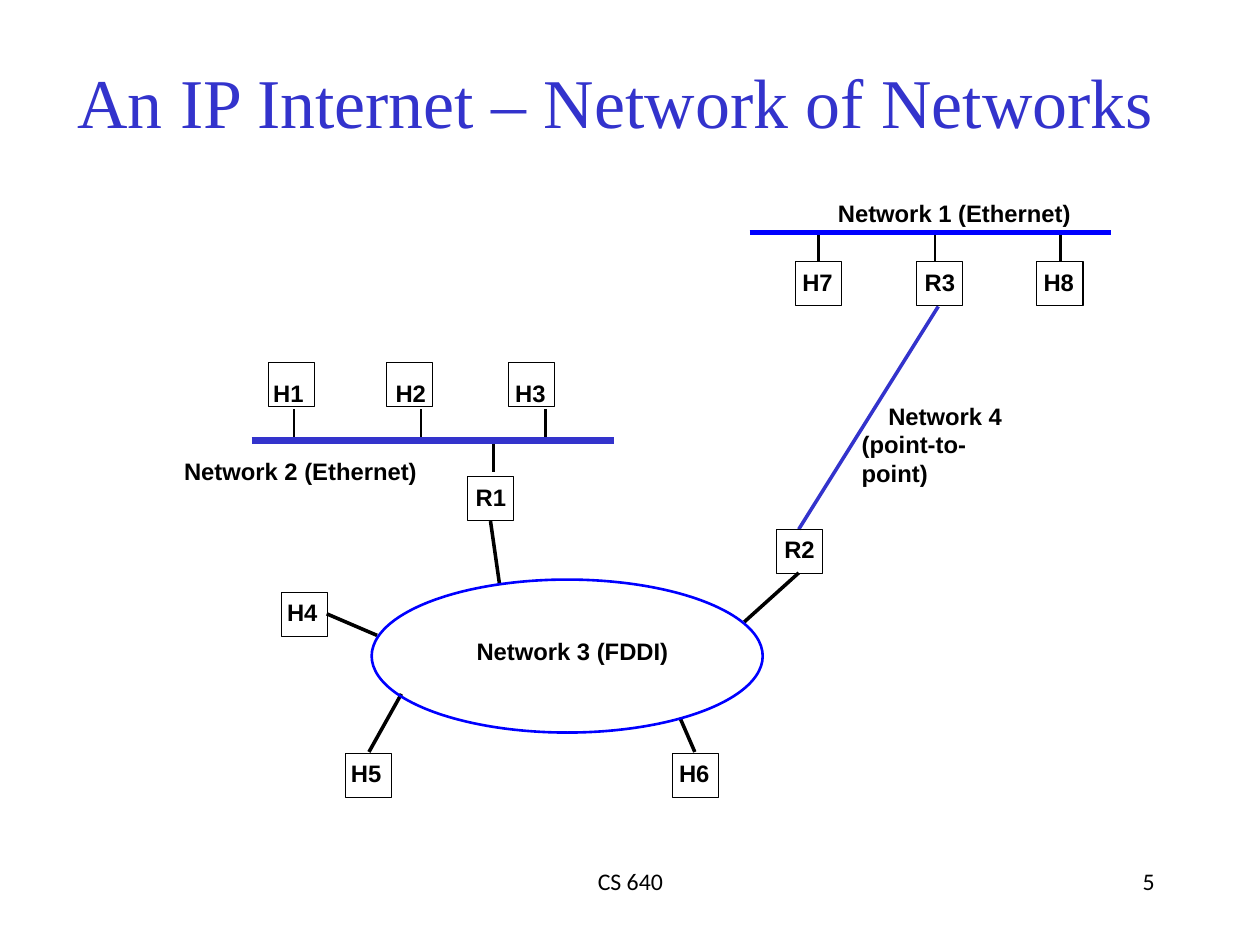
"""Build a slide that shows an IP internet as a network of networks."""
from dataclasses import dataclass

from lxml import etree
from pptx import Presentation
from pptx.dml.color import RGBColor
from pptx.enum.shapes import MSO_CONNECTOR, MSO_SHAPE
from pptx.enum.text import MSO_ANCHOR, PP_ALIGN
from pptx.oxml.ns import qn
from pptx.util import Cm, Pt

STRAIGHT = MSO_CONNECTOR.STRAIGHT
RECTANGLE, OVAL = MSO_SHAPE.RECTANGLE, MSO_SHAPE.OVAL
TOP, MIDDLE = MSO_ANCHOR.TOP, MSO_ANCHOR.MIDDLE
LEFT, CENTER, RIGHT = PP_ALIGN.LEFT, PP_ALIGN.CENTER, PP_ALIGN.RIGHT


@dataclass(frozen=True)
class Theme:
    """Colours, fonts and type sizes of the slide."""
    ink: RGBColor = RGBColor(0x00, 0x00, 0x00)
    indigo: RGBColor = RGBColor(0x33, 0x33, 0xCC)
    blue: RGBColor = RGBColor(0x00, 0x00, 0xFF)
    title_font: str = "Times New Roman"
    label_font: str = "Arial"
    footer_font: str = "Calibri"
    title_size: float = 44
    text_size: float = 15


THEME = Theme()
TITLE = "An IP Internet – Network of Networks"
TITLE_BOX = (1.2, 1.17, 24.97, 2.11)
NODE_WIDTH, NODE_HEIGHT = 1.03, 0.98
LABEL_HEIGHT = 0.64

HOST_ROW_TOP, HOST_LABEL_DROP = 8.05, 0.36
NETWORK_1_ROW_TOP = 5.82
RING_HOST_TOP = 16.74
LABEL_DROP = 0.13

# name, left, top, label indent, label drop
NODES = [
    ("H1", 5.97, HOST_ROW_TOP, 0.1, HOST_LABEL_DROP),
    ("H2", 8.59, HOST_ROW_TOP, 0.2, HOST_LABEL_DROP),
    ("H3", 11.3, HOST_ROW_TOP, 0.15, HOST_LABEL_DROP),
    ("R1", 10.39, 10.59, 0.18, LABEL_DROP),
    ("H4", 6.25, 13.16, 0.13, LABEL_DROP),
    ("H5", 7.67, RING_HOST_TOP, 0.13, LABEL_DROP),
    ("H6", 14.94, RING_HOST_TOP, 0.15, LABEL_DROP),
    ("R2", 17.25, 11.76, 0.18, LABEL_DROP),
    ("H7", 17.68, NETWORK_1_ROW_TOP, 0.15, LABEL_DROP),
    ("R3", 20.37, NETWORK_1_ROW_TOP, 0.18, LABEL_DROP),
    ("H8", 23.04, NETWORK_1_ROW_TOP, 0.15, LABEL_DROP),
]
NETWORK_LABELS = [
    ("Network 1 (Ethernet)", 18.62, 4.42, 5.18),
    ("Network 2 (Ethernet)", 4.09, 10.16, 5.18),
    ("Network 3 (FDDI)", 10.59, 14.15, 4.27),
    ("Network 4", 19.74, 8.92, 2.54),
    ("(point-to-point)", 19.15, 9.55, 3.78),
]
NETWORK_1_BUS = (16.66, 5.16, 24.69, 5.16)
NETWORK_2_BUS = (5.59, 9.78, 13.64, 9.78)
NETWORK_3_RING = (8.26, 12.88, 8.69, 3.4)
NETWORK_4_LINK = (20.85, 6.81, 17.75, 11.76)
NETWORK_1_TAPS = (18.19, 20.78, 23.57)
NETWORK_2_TAPS = (6.54, 9.35, 12.12)
ROUTER_1_TAP = (10.97, 9.8, 10.97, 10.49)
RING_LINKS = [
    (10.9, 11.58, 11.1, 12.98),
    (7.26, 13.64, 8.38, 14.12),
    (8.2, 16.71, 8.92, 15.42),
    (15.44, 16.71, 15.11, 15.95),
    (17.75, 12.73, 16.54, 13.82),
]
FOOTERS = [
    ("CS 640", (9.58, 19.13, 8.86, 1.4), CENTER),
    ("5", (20.07, 19.13, 5.84, 1.4), RIGHT),
]


def centimetres(values):
    """Turn plain numbers into lengths."""
    return [Cm(value) for value in values]


def write_text(shape, text, font=THEME.label_font, size=THEME.text_size, color=THEME.ink,
               bold=False, align=LEFT, anchor=TOP, margins=(0, 0, 0, 0), wrap=True):
    """Fill a shape with one formatted paragraph."""
    frame = shape.text_frame
    frame.word_wrap = wrap
    frame.vertical_anchor = anchor
    (frame.margin_left, frame.margin_top,
     frame.margin_right, frame.margin_bottom) = centimetres(margins)
    frame.text = text
    paragraph = frame.paragraphs[0]
    paragraph.alignment = align
    paragraph.font.name = font
    paragraph.font.size = Pt(size)
    paragraph.font.bold = bold
    paragraph.font.color.rgb = color


def add_line(slide, ends, color=THEME.ink, width=2.25):
    """Draw a straight line without a shadow."""
    connector = slide.shapes.add_connector(STRAIGHT, *centimetres(ends))
    connector.line.color.rgb = color
    connector.line.width = Pt(width)
    etree.SubElement(connector._element.spPr, qn("a:effectLst"))


def add_outline(slide, kind, box, color, width):
    """Draw an unfilled shape."""
    shape = slide.shapes.add_shape(kind, *centimetres(box))
    shape.shadow.inherit = False
    shape.fill.background()
    shape.line.color.rgb = color
    shape.line.width = Pt(width)
    return shape


def add_links(slide):
    """Draw the networks and the lines that join them to the nodes."""
    network_1_level, network_2_level = NETWORK_1_BUS[1], NETWORK_2_BUS[1]
    host_bottom = HOST_ROW_TOP + NODE_HEIGHT + 0.06
    taps = [(x, NETWORK_1_ROW_TOP, x, network_1_level) for x in NETWORK_1_TAPS]
    taps += [(x, host_bottom, x, network_2_level) for x in NETWORK_2_TAPS]
    for tap in taps + [ROUTER_1_TAP]:
        add_line(slide, tap, width=1.5)
    for link in RING_LINKS:
        add_line(slide, link)
    add_line(slide, NETWORK_1_BUS, THEME.blue, 3)
    add_line(slide, NETWORK_2_BUS, THEME.indigo, 4.5)
    add_line(slide, NETWORK_4_LINK, THEME.indigo)
    add_outline(slide, OVAL, NETWORK_3_RING, THEME.blue, 1.64)


def add_nodes(slide):
    """Draw each host and router as a labelled box."""
    for name, left, top, indent, drop in NODES:
        box = (left, top, NODE_WIDTH, NODE_HEIGHT)
        node = add_outline(slide, RECTANGLE, box, THEME.ink, 0.75)
        write_text(node, name, bold=True, margins=(indent, drop, 0, 0))


def main():
    """Assemble and save the slide."""
    presentation = Presentation()
    presentation.slide_width, presentation.slide_height = Cm(28), Cm(21)
    slide = presentation.slides.add_slide(presentation.slide_layouts[5])

    title = slide.shapes.title
    title.left, title.top, title.width, title.height = centimetres(TITLE_BOX)
    write_text(title, TITLE, font=THEME.title_font, size=THEME.title_size,
               color=THEME.indigo, align=CENTER, anchor=MIDDLE)

    add_links(slide)
    add_nodes(slide)
    for text, left, top, width in NETWORK_LABELS:
        box = slide.shapes.add_textbox(*centimetres((left, top, width, LABEL_HEIGHT)))
        write_text(box, text, bold=True, wrap=False)
    for text, place, align in FOOTERS:
        box = slide.shapes.add_textbox(*centimetres(place))
        write_text(box, text, font=THEME.footer_font, align=align,
                   margins=(0.25, 0.13, 0.25, 0.13))

    presentation.save("out.pptx")


if __name__ == "__main__":
    main()
